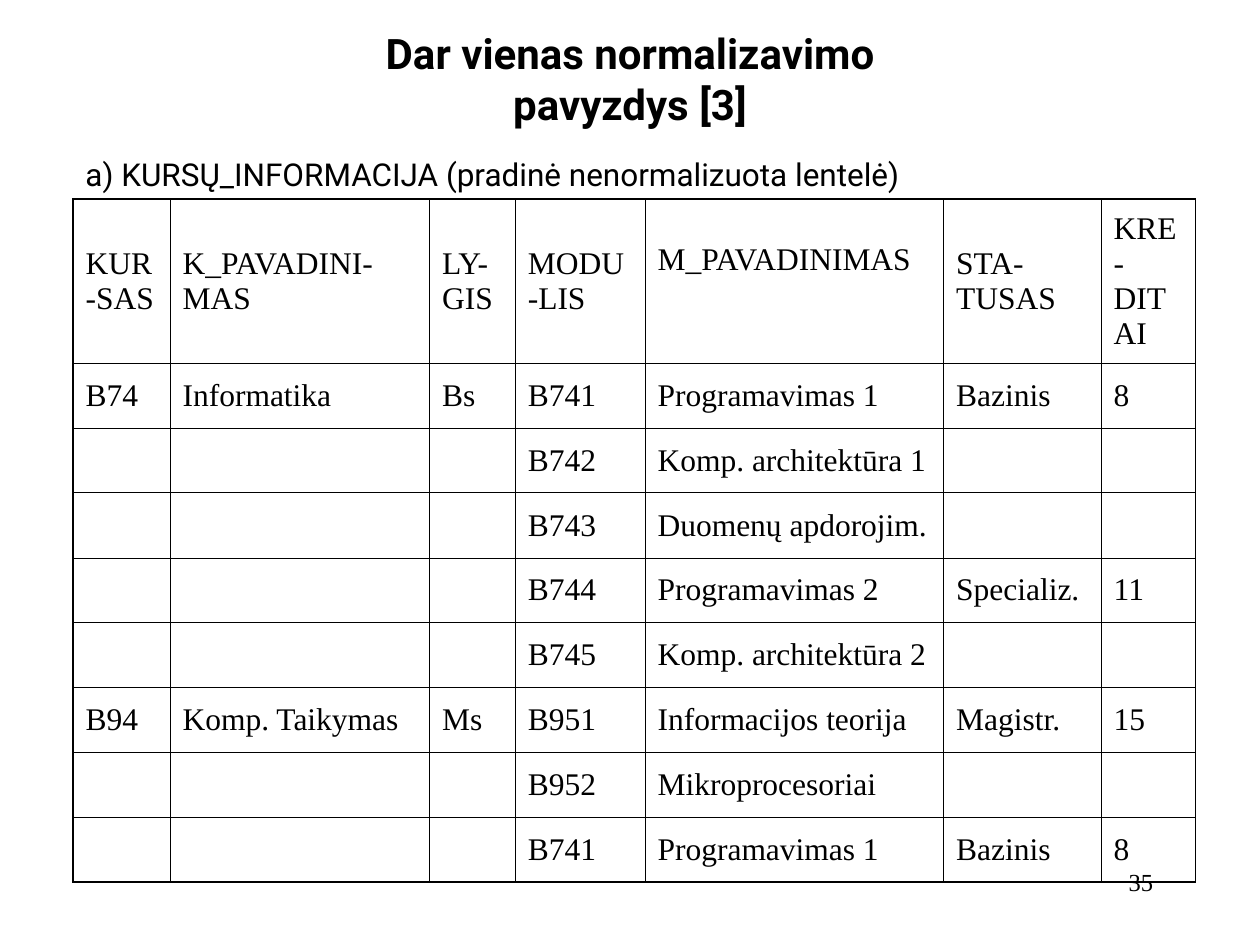
import pptx
import pptx.util
import pptx.dml.color
import pptx.enum.text
import pptx.oxml
import pptx.oxml.ns

Inches = pptx.util.Inches
Pt = pptx.util.Pt
ALIGN = pptx.enum.text.PP_ALIGN
ANCHOR = pptx.enum.text.MSO_ANCHOR

INK = {"text": "000000", "line": "000000"}
SANS, SERIF = "Roboto", "Times New Roman"
THIN, THICK = 0.45, 1.08

TITLE = "Dar vienas normalizavimo pavyzdys [3]"
LABEL = "a) KURSŲ_INFORMACIJA (pradinė nenormalizuota lentelė)"
NUMBER = "35"
HEAD = ["KUR-SAS", "K_PAVADINI-MAS", "LY-GIS", "MODU-LIS",
        "M_PAVADINIMAS", "STA-TUSAS", "KRE-DITAI"]
ROWS = [
    ["B74", "Informatika", "Bs", "B741", "Programavimas 1", "Bazinis", "8"],
    ["", "", "", "B742", "Komp. architektūra 1", "", ""],
    ["", "", "", "B743", "Duomenų apdorojim.", "", ""],
    ["", "", "", "B744", "Programavimas 2", "Specializ.", "11"],
    ["", "", "", "B745", "Komp. architektūra 2", "", ""],
    ["B94", "Komp. Taikymas", "Ms", "B951", "Informacijos teorija", "Magistr.", "15"],
    ["", "", "", "B952", "Mikroprocesoriai", "", ""],
    ["", "", "", "B741", "Programavimas 1", "Bazinis", "8"],
]
WIDTHS = [0.77, 2.06, 0.68, 1.03, 2.37, 1.25, 0.75]
HEIGHTS = [1.3] + [0.52, 0.51] * 4


def write(frame, text, size, font, bold=False, align=ALIGN.LEFT, before=0):
    para = frame.paragraphs[0]
    para.alignment = align
    para.space_before = Pt(before)
    run = para.add_run()
    run.text = text
    run.font.size = Pt(size)
    run.font.name = font
    run.font.bold = bold
    run.font.color.rgb = pptx.dml.color.RGBColor.from_string(INK["text"])


def add_text(slide, box, *args, **style):
    frame = slide.shapes.add_textbox(*map(Inches, box)).text_frame
    frame.word_wrap = True
    write(frame, *args, **style)


def border(cell, sides):
    props = cell._tc.get_or_add_tcPr()
    for side, width in sides.items():
        props.append(pptx.oxml.parse_xml(
            f'<a:ln{side} {pptx.oxml.ns.nsdecls("a")} w="{Pt(width)}">'
            f'<a:solidFill><a:srgbClr val="{INK["line"]}"/></a:solidFill>'
            f'</a:ln{side}>'))


def add_grid(slide):
    data = [HEAD] + ROWS
    last, end = len(data) - 1, len(HEAD) - 1
    table = slide.shapes.add_table(
        len(data), len(HEAD), Inches(0.58), Inches(1.58),
        Inches(sum(WIDTHS)), Inches(sum(HEIGHTS))).table
    table.first_row = table.horz_banding = False
    for col, width in zip(table.columns, WIDTHS):
        col.width = Inches(width)
    for row, height in zip(table.rows, HEIGHTS):
        row.height = Inches(height)
    for r, line in enumerate(data):
        for c, text in enumerate(line):
            cell = table.cell(r, c)
            border(cell, {"L": THIN if c else THICK,
                          "R": THICK if c == end else THIN,
                          "T": THIN if r else THICK,
                          "B": THICK if r == last else THIN})
            cell.fill.background()
            cell.vertical_anchor = ANCHOR.MIDDLE
            if text:
                write(cell.text_frame, text, 18, SERIF, before=4.5)
    table.cell(0, HEAD.index("M_PAVADINIMAS")).margin_bottom = Inches(0.39)


def main():
    deck = pptx.Presentation()
    deck.slide_width, deck.slide_height = Inches(10), Inches(7.5)
    slide = deck.slides.add_slide(deck.slide_layouts[5])
    title = slide.shapes.title
    title.left, title.top = Inches(2.29), Inches(0.33)
    title.width, title.height = Inches(5.42), Inches(0.58)
    frame = title.text_frame
    frame.word_wrap = True
    frame.auto_size = pptx.enum.text.MSO_AUTO_SIZE.NONE
    frame.vertical_anchor = ANCHOR.MIDDLE
    write(frame, TITLE, 24, SANS, bold=True, align=ALIGN.CENTER)
    add_text(slide, (0.58, 1.18, 6.67, 0.7), LABEL, 18, SANS, before=11.2)
    add_grid(slide)
    add_text(slide, (7.17, 6.83, 2.08, 0.5), NUMBER, 14, SERIF, align=ALIGN.RIGHT)
    deck.save("out.pptx")


if __name__ == "__main__":
    main()
